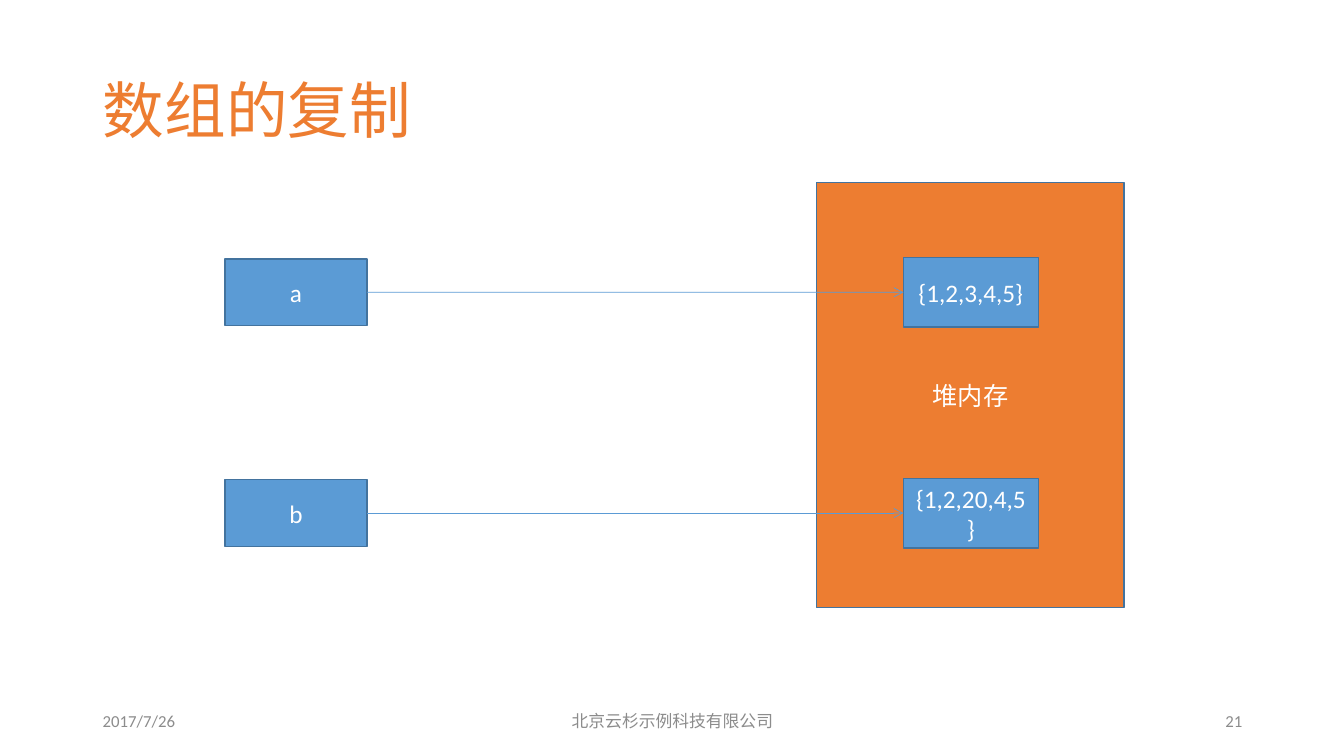
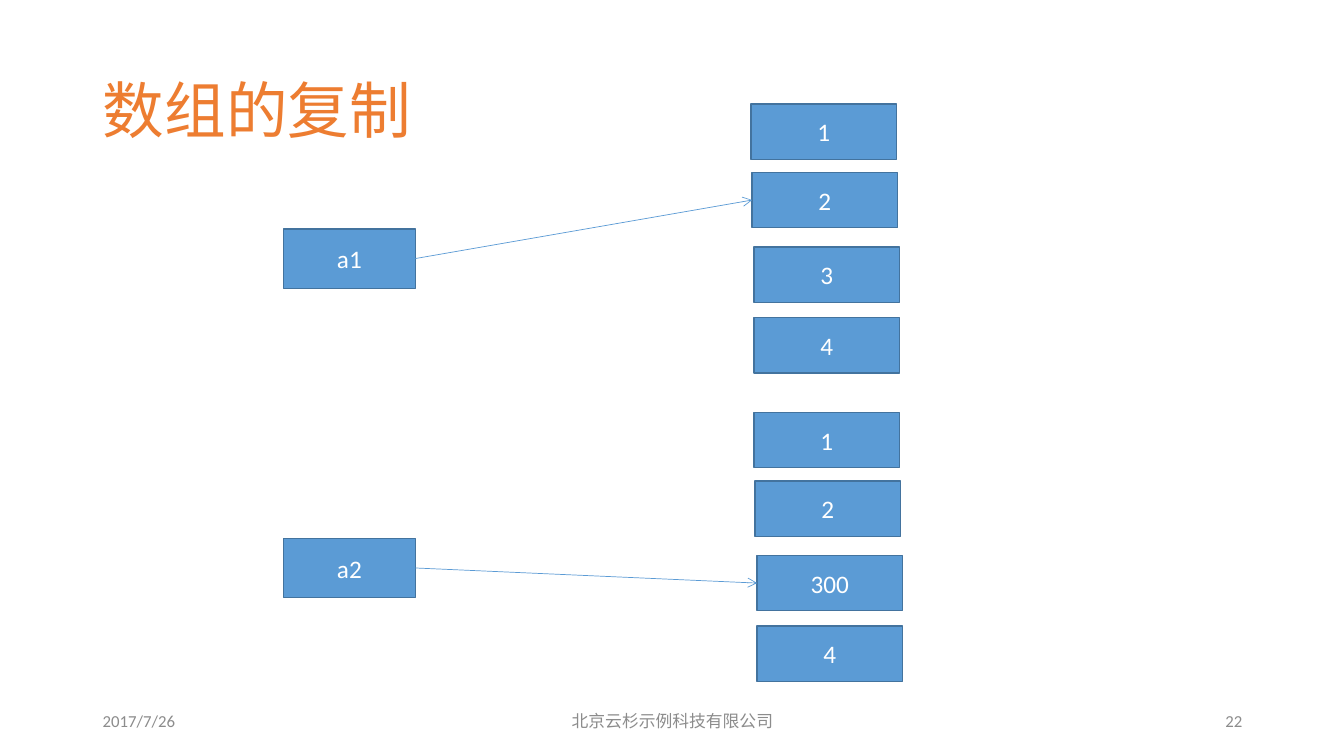
import pptx
import pptx.util
import pptx.dml.color
import pptx.enum.shapes
import pptx.enum.text
import pptx.oxml.ns
from lxml import etree

Inches = pptx.util.Inches
Pt = pptx.util.Pt
RGBColor = pptx.dml.color.RGBColor
qn = pptx.oxml.ns.qn
ALIGN = pptx.enum.text.PP_ALIGN
MIDDLE = pptx.enum.text.MSO_ANCHOR.MIDDLE

COLORS = {
    "orange": "ED7D31",
    "blue": "5B9BD5",
    "outline": "43739E",
    "white": "FFFFFF",
    "footer": "8C8C8C",
}
LATIN, CHINESE = "Calibri", "Noto Sans CJK SC"


def write(shape, text, size, color, align, font=LATIN):
    """Put one formatted paragraph, vertically centred, into a shape."""
    frame = shape.text_frame
    frame.word_wrap = True
    frame.vertical_anchor = MIDDLE
    frame.text = text
    paragraph = frame.paragraphs[0]
    paragraph.alignment = align
    paragraph.font.size = Pt(size)
    paragraph.font.name = font
    paragraph.font.color.rgb = RGBColor.from_string(COLORS[color])
    defaults = paragraph._p.pPr.find(qn("a:defRPr"))
    etree.SubElement(defaults, qn("a:ea"), typeface=CHINESE)
    return paragraph


def add_box(shapes, text, left, top, width, height, fill="blue"):
    box = shapes.add_shape(
        pptx.enum.shapes.MSO_SHAPE.RECTANGLE,
        Inches(left), Inches(top), Inches(width), Inches(height))
    box.shadow.inherit = False
    box.fill.solid()
    box.fill.fore_color.rgb = RGBColor.from_string(COLORS[fill])
    box.line.color.rgb = RGBColor.from_string(COLORS["outline"])
    box.line.width = Pt(1)
    write(box, text, 18, "white", ALIGN.CENTER)
    return box


presentation = pptx.Presentation()
presentation.slide_width = Inches(13.33)
presentation.slide_height = Inches(7.5)
title_only = presentation.slide_layouts[5]

# Title and footer shared by both slides
slides = []
for number in ("21", "22"):
    slide = presentation.slides.add_slide(title_only)
    slides.append(slide)
    title = slide.shapes.title
    title.left, title.top = Inches(0.92), Inches(0.4)
    title.width, title.height = Inches(8.69), Inches(1.45)
    heading = write(title, "数组的复制", 44, "orange", ALIGN.LEFT, CHINESE)
    heading.line_spacing = 0.9
    for text, left, width, align, font in (
        ("2017/7/26", 0.92, 3, ALIGN.LEFT, LATIN),
        ("北京云杉示例科技有限公司", 4.42, 4.5, ALIGN.CENTER, CHINESE),
        (number, 9.42, 3, ALIGN.RIGHT, LATIN),
    ):
        footer = slide.shapes.add_textbox(
            Inches(left), Inches(6.95), Inches(width), Inches(0.4))
        write(footer, text, 12, "footer", align, font)
heap_slide, elements_slide = slides

references = []  # (slide, variable box, box it points to)

# Two variables pointing into heap memory
add_box(heap_slide.shapes, "堆内存", 8.1, 1.81, 3.05, 4.22, "orange")
for name, array, middle in (("a", "{1,2,3,4,5}", 2.9), ("b", "{1,2,20,4,5}", 5.09)):
    variable = add_box(heap_slide.shapes, name, 2.23, middle - 0.33, 1.41, 0.66)
    value = add_box(heap_slide.shapes, array, 8.96, middle - 0.345, 1.34, 0.69)
    references.append((heap_slide, variable, value))

# Two arrays shown element by element
element_offsets = ((0, 0), (0.01, 0.68), (0.03, 1.42), (0.03, 2.12))
for name, name_top, elements, left, top, target in (
    ("a1", 2.27, ("1", "2", "3", "4"), 7.45, 1.03, 1),
    ("a2", 5.34, ("1", "2", "300", "4"), 7.48, 4.09, 2),
):
    array_group = elements_slide.shapes.add_group_shape()
    cells = [
        add_box(array_group.shapes, element, left + dx, top + dy, 1.44, 0.55)
        for element, (dx, dy) in zip(elements, element_offsets)
    ]
    variable = add_box(elements_slide.shapes, name, 2.81, name_top, 1.31, 0.59)
    references.append((elements_slide, variable, cells[target]))

# Arrows from the right side of a variable to the left side of its target
for slide, variable, target in references:
    arrow = slide.shapes.add_connector(
        pptx.enum.shapes.MSO_CONNECTOR.STRAIGHT, 0, 0, 0, 0)
    arrow.begin_connect(variable, 3)
    arrow.end_connect(target, 1)
    arrow.line.color.rgb = RGBColor.from_string(COLORS["blue"])
    arrow.line.width = Pt(0.5)
    outline = arrow.line._get_or_add_ln()
    etree.SubElement(outline, qn("a:tailEnd"), type="arrow")
    etree.SubElement(arrow._element.spPr, qn("a:effectLst"))

presentation.save("out.pptx")
